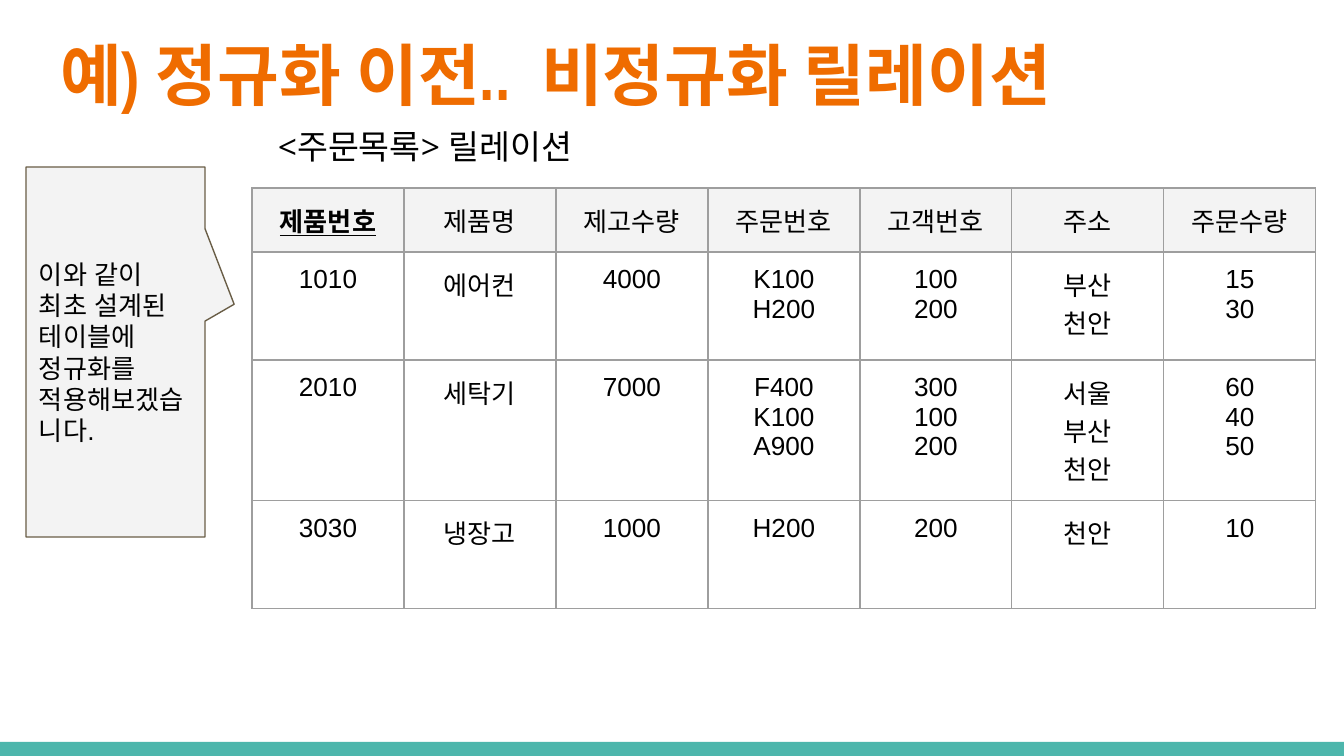
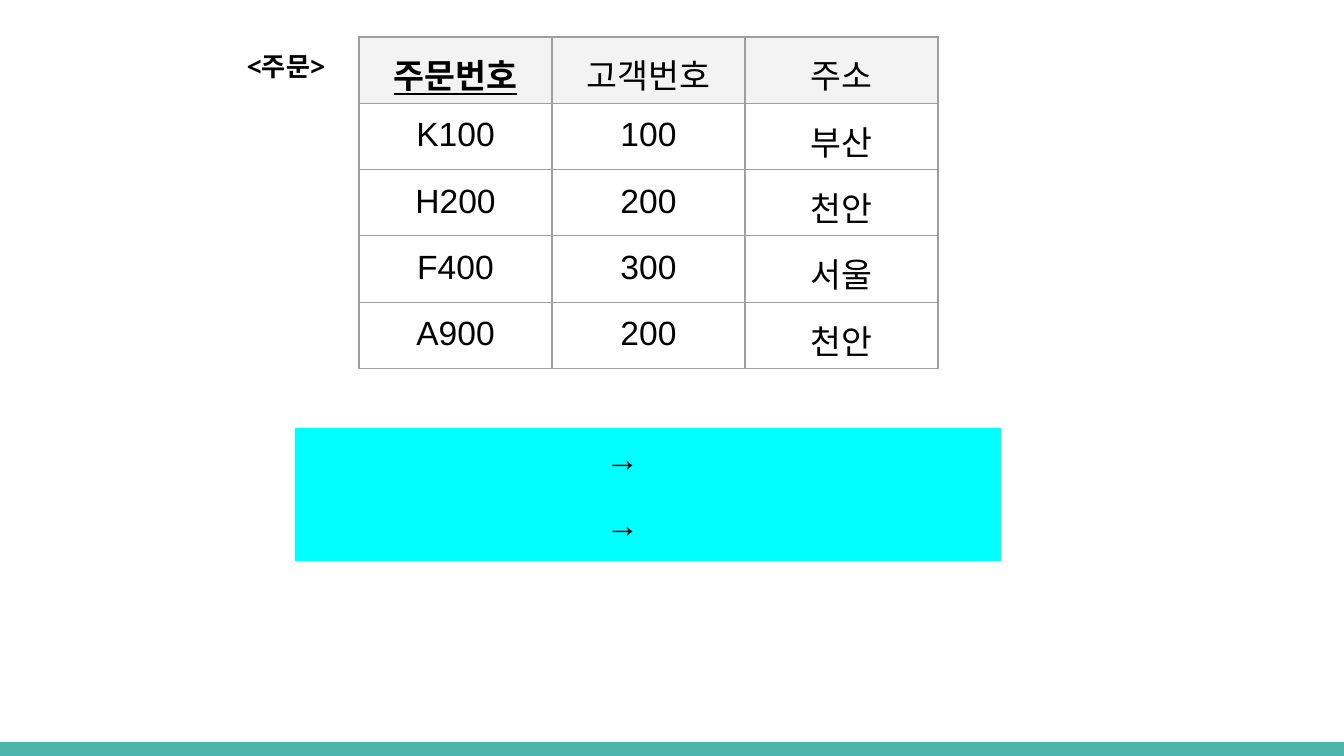
from lxml import etree
from pptx import Presentation
from pptx.dml.color import RGBColor
from pptx.enum.shapes import MSO_SHAPE
from pptx.enum.text import MSO_ANCHOR, PP_ALIGN
from pptx.oxml.ns import qn
from pptx.util import Emu, Pt

RECT = MSO_SHAPE.RECTANGLE
CALLOUT = MSO_SHAPE.ROUNDED_RECTANGULAR_CALLOUT
TOP, MIDDLE = MSO_ANCHOR.TOP, MSO_ANCHOR.MIDDLE
LEFT, CENTER = PP_ALIGN.LEFT, PP_ALIGN.CENTER

BLACK = RGBColor(0x00, 0x00, 0x00)
WHITE = RGBColor(0xFF, 0xFF, 0xFF)
ORANGE = RGBColor(0xEF, 0x6C, 0x00)
TEAL = RGBColor(0x4D, 0xB6, 0xAC)
PALE = RGBColor(0xF3, 0xF3, 0xF3)
CYAN = RGBColor(0x00, 0xFF, 0xFF)
GRAY = RGBColor(0x9E, 0x9E, 0x9E)
BROWN = RGBColor(0x69, 0x5D, 0x46)

WIDE, HIGH = 1344, 756
INSET = 13
SIDES = ("margin_left", "margin_top", "margin_right", "margin_bottom")

# Text formats
TITLE = dict(name="Arial Narrow", size=Pt(36), bold=True)
LABEL = dict(name="Open Sans", size=Pt(18))
TAG = dict(name="Open Sans", size=Pt(14), bold=True)
SMALL = dict(name="Arial", size=Pt(14), bold=False)
LARGE = dict(name="Arial", size=Pt(18), bold=False)
KEY = dict(bold=True, underline=True)

ORDERS = [
    ["제품번호", "제품명", "제고수량", "주문번호", "고객번호", "주소", "주문수량"],
    ["1010", "에어컨", "4000", "K100\nH200", "100\n200", "부산\n천안", "15\n30"],
    ["2010", "세탁기", "7000", "F400\nK100\nA900", "300\n100\n200",
     "서울\n부산\n천안", "60\n40\n50"],
    ["3030", "냉장고", "1000", "H200", "200", "천안", "10"],
]
CLIENTS = [
    ["주문번호", "고객번호", "주소"],
    ["K100", "100", "부산"],
    ["H200", "200", "천안"],
    ["F400", "300", "서울"],
    ["A900", "200", "천안"],
]
ARROWS = [["", "→", ""]] * 2


def px(*nums):
    return [Emu(round(n * 914400 / 134.4)) for n in nums]


def style(font, form, color):
    for key, val in form.items():
        setattr(font, key, val)
    font.color.rgb = color


def write(frame, text, form, color=BLACK, align=LEFT, asian=False):
    """Fill a text frame, one paragraph for each line."""
    for i, line in enumerate(text.split("\n")):
        para = frame.add_paragraph() if i else frame.paragraphs[0]
        para.alignment = align
        if not line:
            # Keep empty cells lower than the text beside them
            etree.SubElement(para._p, qn("a:endParaRPr"), sz="1400")
            continue
        run = para.add_run()
        run.text = line
        style(run.font, form, color)
        if asian:
            face = etree.SubElement(run.font._element, qn("a:ea"))
            face.set("typeface", form["name"])


def pad(item):
    for side in SIDES:
        setattr(item, side, px(INSET)[0])


def setup(frame, anchor=TOP):
    pad(frame)
    frame.word_wrap = True
    frame.vertical_anchor = anchor


def title(slide, box, text):
    head = slide.shapes.title
    head.left, head.top, head.width, head.height = px(*box)
    setup(head.text_frame)
    write(head.text_frame, text, TITLE, ORANGE)


def label(slide, box, text, form):
    frame = slide.shapes.add_textbox(*px(*box)).text_frame
    setup(frame)
    write(frame, text, form, asian=True)


def shape(slide, kind, box, fill, line=None):
    item = slide.shapes.add_shape(kind, *px(*box))
    item.shadow.inherit = False
    item.fill.solid()
    item.fill.fore_color.rgb = fill
    if line:
        item.line.color.rgb = line
        item.line.width = Pt(0.75)
    else:
        item.line.fill.background()
    return item


def callout(slide, box, tip, text):
    item = shape(slide, CALLOUT, box, PALE, BROWN)
    for i, val in enumerate(tip):
        item.adjustments[i] = val
    setup(item.text_frame, MIDDLE)
    write(item.text_frame, text, SMALL, asian=True)


def border(cell, color):
    """Draw all four cell edges, or hide them when there is no colour."""
    props = cell._tc.get_or_add_tcPr()
    for i, tag in enumerate(("a:lnL", "a:lnR", "a:lnT", "a:lnB")):
        edge = etree.Element(qn(tag), w=str(Pt(0.75)))
        if color:
            fill = etree.SubElement(edge, qn("a:solidFill"))
            etree.SubElement(fill, qn("a:srgbClr"), val=str(color))
        else:
            etree.SubElement(edge, qn("a:noFill"))
        props.insert(i, edge)


def table(slide, spot, cols, rows, data, form, fill, line=None, head=False):
    size = (sum(cols), sum(rows))
    grid = slide.shapes.add_table(len(rows), len(cols), *px(*spot, *size)).table
    grid.first_row = head
    grid.horz_banding = False
    for col, wide in zip(grid.columns, px(*cols)):
        col.width = wide
    for row, high in zip(grid.rows, px(*rows)):
        row.height = high
    for r, line_text in enumerate(data):
        for c, text in enumerate(line_text):
            cell = grid.cell(r, c)
            top = head and r == 0
            cell.fill.solid()
            cell.fill.fore_color.rgb = PALE if top else fill
            pad(cell)
            border(cell, line)
            look = {**form, **KEY} if top and c == 0 else form
            write(cell.text_frame, text, look, align=CENTER)


def main():
    prs = Presentation()
    prs.slide_width, prs.slide_height = px(WIDE, HIGH)

    # Unnormalised relation
    slide = prs.slides.add_slide(prs.slide_layouts[5])

    # Bottom band, moved to the master for all slides
    band = shape(slide, RECT, (0, 742, WIDE, 14), TEAL)
    prs.slide_master.shapes._spTree.append(band._element)

    title(slide, (47, 20, 1253, 104), "예) 정규화 이전..  비정규화 릴레이션")
    table(slide, (252, 188), [152] * 7, [56] + [108] * 3, ORDERS,
          SMALL, WHITE, GRAY, True)
    label(slide, (265, 113, 376, 74), "<주문목록> 릴레이션", LABEL)
    callout(slide, (26, 167, 179, 370), (0.663, -0.129, 0),
            "이와 같이\n최초 설계된 테이블에\n정규화를 적용해보겠습니다.")

    # Order relation and its dependencies
    slide = prs.slides.add_slide(prs.slide_layouts[6])
    label(slide, (234, 37, 214, 40), "<주문>", TAG)
    table(slide, (295, 428), [278, 99, 329], [56] * 2, ARROWS,
          {**LARGE, "bold": True}, CYAN)
    table(slide, (359, 37), [193] * 3, [36] + [40] * 4, CLIENTS,
          LARGE, WHITE, GRAY, True)

    prs.save("out.pptx")


if __name__ == "__main__":
    main()
